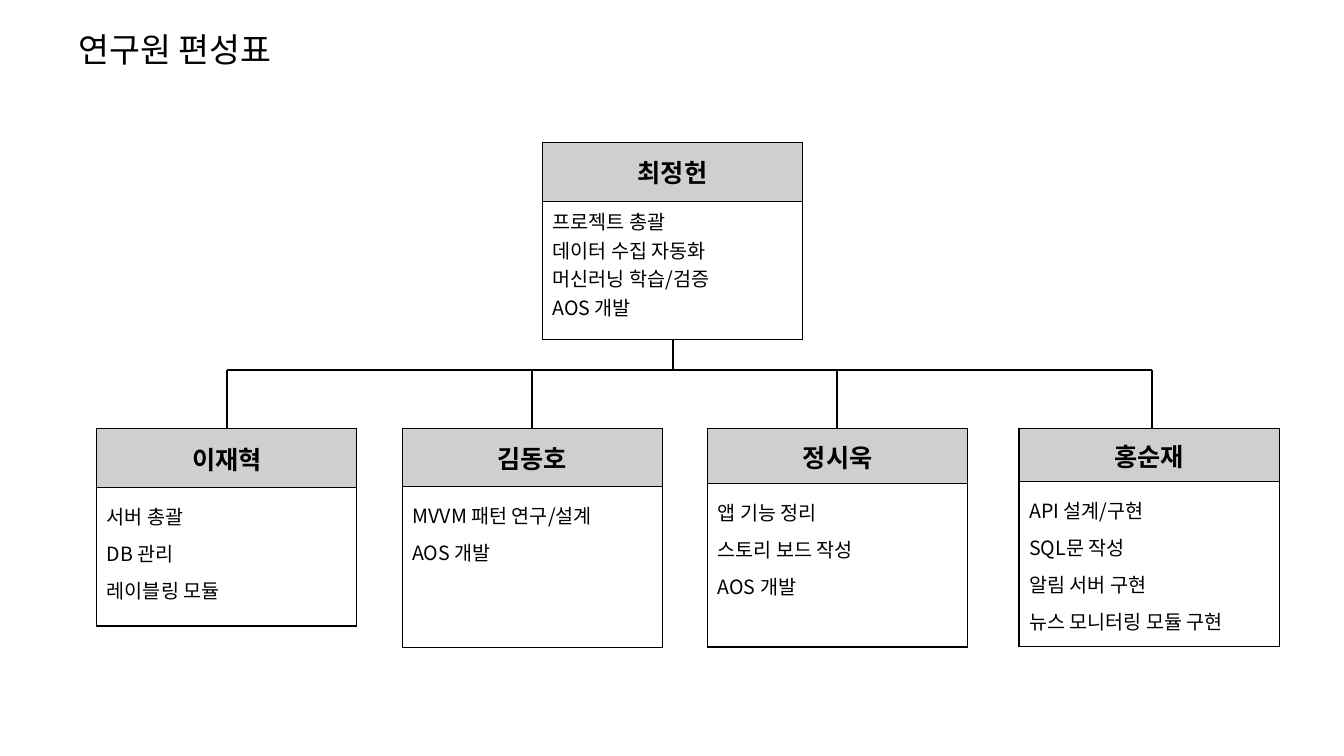
from lxml.etree import SubElement
from pptx import Presentation
from pptx.dml.color import RGBColor
from pptx.enum.shapes import MSO_CONNECTOR
from pptx.enum.text import MSO_ANCHOR, MSO_AUTO_SIZE, PP_ALIGN
from pptx.oxml.ns import qn
from pptx.util import Pt

FONT = "Noto Sans CJK KR"
BLACK = "000000"
HEADER_GRAY = "D0CECE"
CARD_WIDTH = 185.8
MEMBER_TOP = 306
BUS_TOP = 264.2

LEADER = {"name": "최정헌", "left": 387.4, "top": 101.5, "rows": (42.5, 98.6),
          "tasks": ["프로젝트 총괄", "데이터 수집 자동화", "머신러닝 학습/검증", "AOS 개발"]}
LEADER_STEM = 481
MEMBERS = [
    {"name": "이재혁", "left": 69.1, "stem": 162, "rows": (42.5, 98.6),
     "tasks": ["서버 총괄", "DB 관리", "레이블링 모듈"]},
    {"name": "김동호", "left": 287.3, "stem": 380, "rows": (41.8, 114.5),
     "tasks": ["MVVM 패턴 연구/설계", "AOS 개발"]},
    {"name": "정시욱", "left": 505.4, "stem": 597.8, "rows": (39.6, 116.6),
     "tasks": ["앱 기능 정리", "스토리 보드 작성", "AOS 개발"]},
    {"name": "홍순재", "left": 727.9, "stem": 823, "rows": (38.2, 117.4),
     "tasks": ["API 설계/구현", "SQL문 작성", "알림 서버 구현", "뉴스 모니터링 모듈 구현"]},
]


def color(hex_string):
    return RGBColor.from_string(hex_string)


def set_attributes(target, values):
    for attribute, value in values.items():
        setattr(target, attribute, value)


def write_paragraph(paragraph, text, size, bold=False, **layout):
    set_attributes(paragraph, layout)
    run = paragraph.add_run()
    run.text = text
    set_attributes(run.font, {"name": FONT, "size": Pt(size), "bold": bold})
    run.font.color.rgb = color(BLACK)
    SubElement(run.font._element, qn("a:ea"), typeface=FONT)


def format_cell(cell, fill=None):
    """Give the cell a thin black border and a solid or empty fill."""
    properties = cell._tc.get_or_add_tcPr()
    for side in ("lnL", "lnR", "lnT", "lnB"):
        line = SubElement(properties, qn(f"a:{side}"), w=str(Pt(1)))
        solid = SubElement(line, qn("a:solidFill"))
        SubElement(solid, qn("a:srgbClr"), val=BLACK)
    if fill:
        cell.fill.solid()
        cell.fill.fore_color.rgb = color(fill)
    else:
        cell.fill.background()


def add_title(slide, text, left, top, width, height):
    title = slide.shapes.title
    set_attributes(title, {"left": Pt(left), "top": Pt(top),
                           "width": Pt(width), "height": Pt(height)})
    set_attributes(title.text_frame, {"word_wrap": True, "auto_size": MSO_AUTO_SIZE.NONE,
                                      "vertical_anchor": MSO_ANCHOR.MIDDLE})
    write_paragraph(title.text_frame.paragraphs[0], text, 24, alignment=PP_ALIGN.LEFT)


def add_card(slide, person, left, top, **task_layout):
    """Add a person's table: the name above the list of tasks."""
    rows = person["rows"]
    table = slide.shapes.add_table(2, 1, Pt(left), Pt(top),
                                   Pt(CARD_WIDTH), Pt(sum(rows))).table
    set_attributes(table, {"first_row": False, "horz_banding": False})
    for row, height in zip(table.rows, rows):
        row.height = Pt(height)

    header, body = table.cell(0, 0), table.cell(1, 0)
    format_cell(header, HEADER_GRAY)
    header.vertical_anchor = MSO_ANCHOR.MIDDLE
    write_paragraph(header.text_frame.paragraphs[0], person["name"], 18, True,
                    alignment=PP_ALIGN.CENTER)

    format_cell(body)
    frame = body.text_frame
    for index, task in enumerate(person["tasks"]):
        paragraph = frame.add_paragraph() if index else frame.paragraphs[0]
        write_paragraph(paragraph, task, 14, **task_layout)


def add_line(slide, start_x, start_y, end_x, end_y):
    line = slide.shapes.add_connector(MSO_CONNECTOR.STRAIGHT, Pt(start_x), Pt(start_y),
                                      Pt(end_x), Pt(end_y))
    line.line.color.rgb = color(BLACK)
    line.line.width = Pt(1.5)
    SubElement(line._element.spPr, qn("a:effectLst"))


def add_branches(slide):
    """Join the leader's card to every member's card."""
    stems = [member["stem"] for member in MEMBERS]
    add_line(slide, stems[0], BUS_TOP, stems[-1], BUS_TOP)
    for stem in stems:
        add_line(slide, stem, BUS_TOP, stem, MEMBER_TOP)
    add_line(slide, LEADER_STEM, LEADER["top"] + sum(LEADER["rows"]), LEADER_STEM, BUS_TOP)


def add_organization_slide(presentation):
    slide = presentation.slides.add_slide(presentation.slide_layouts[5])
    add_title(slide, "연구원 편성표", 49, 17.3, 306.7, 36)
    add_card(slide, LEADER, LEADER["left"], LEADER["top"])
    for member in MEMBERS:
        add_card(slide, member, member["left"], MEMBER_TOP,
                 alignment=PP_ALIGN.JUSTIFY, line_spacing=1.3)
    add_branches(slide)


def main():
    presentation = Presentation()
    set_attributes(presentation, {"slide_width": Pt(960), "slide_height": Pt(540)})
    add_organization_slide(presentation)
    presentation.save("out.pptx")


if __name__ == "__main__":
    main()
